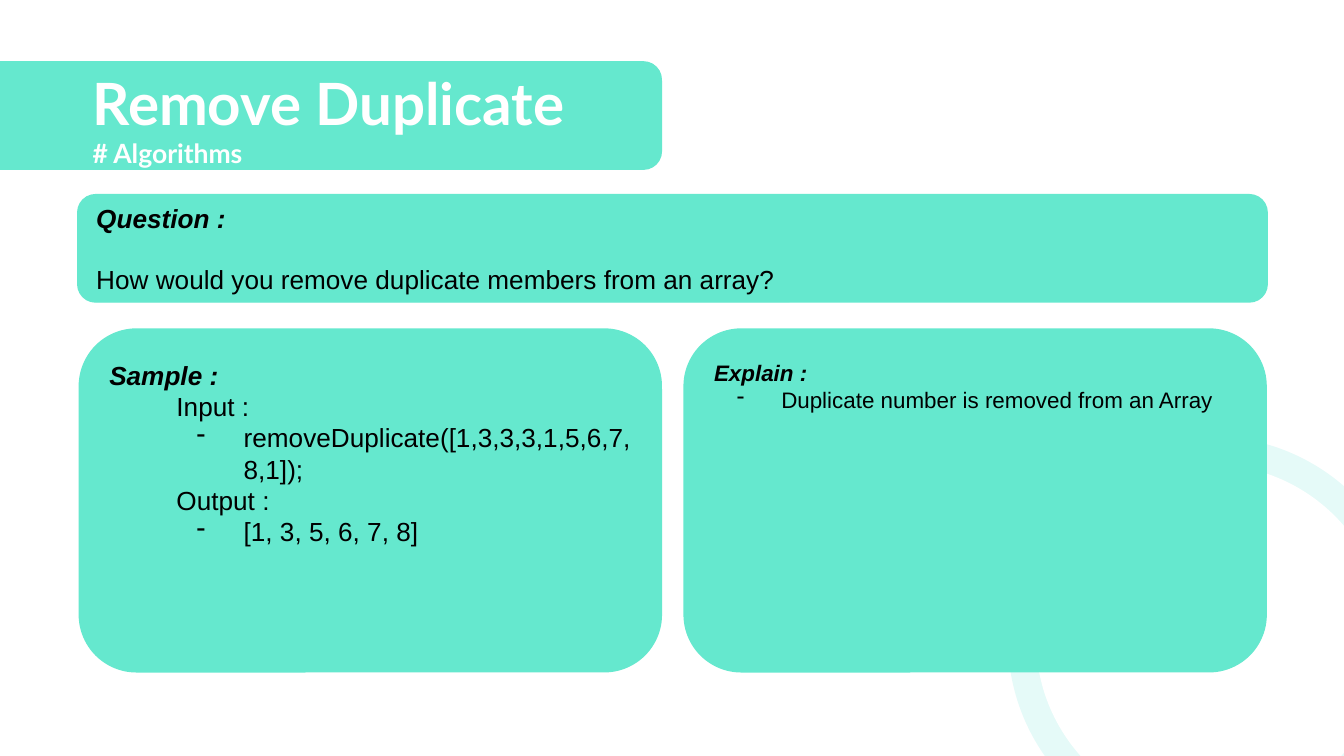
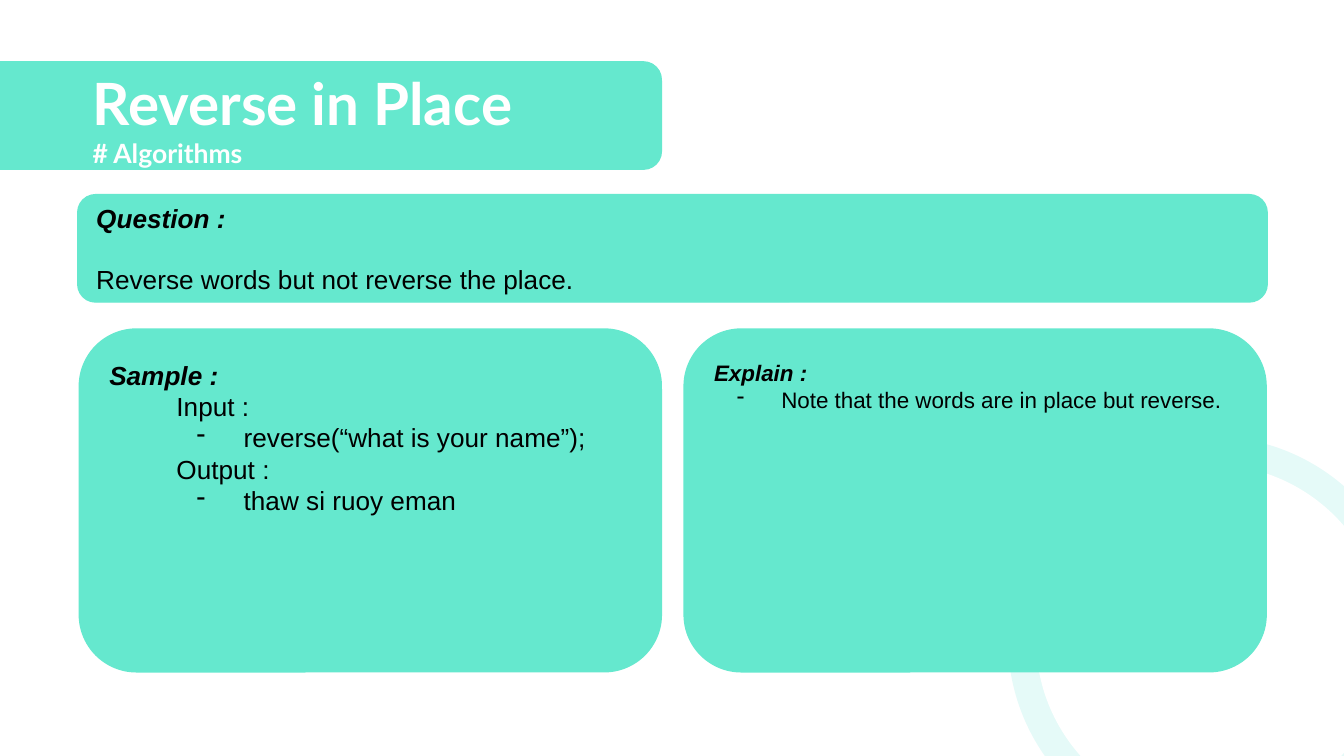
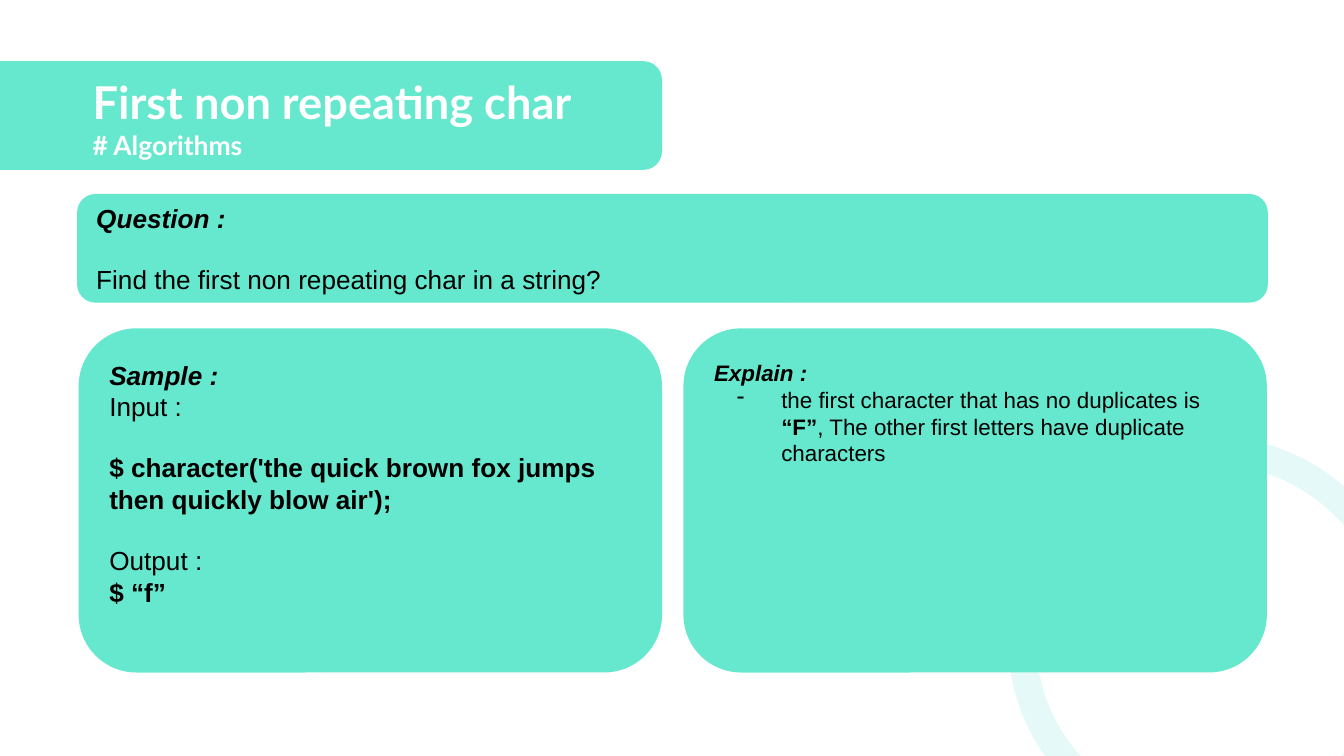
from dataclasses import dataclass

from lxml import etree
from pptx import Presentation
from pptx.dml.color import RGBColor
from pptx.enum.shapes import MSO_SHAPE
from pptx.enum.text import MSO_ANCHOR, PP_ALIGN
from pptx.oxml.ns import qn
from pptx.util import Cm, Pt

ROUNDED = MSO_SHAPE.ROUNDED_RECTANGLE
OVAL = MSO_SHAPE.OVAL
TOP, MIDDLE = MSO_ANCHOR.TOP, MSO_ANCHOR.MIDDLE
LEFT = PP_ALIGN.LEFT


@dataclass(frozen=True)
class Theme:
    mint: str = "65E8CE"
    ring: str = "1BD2C6"
    white: str = "FFFFFF"
    black: str = "000000"
    title_font: str = "Lato"
    body_font: str = "Arial"
    title_size: float = 31.2
    long_title_size: float = 24.2
    subtitle_size: float = 14.2
    body_size: float = 14
    explain_size: float = 12
    line_width: float = 0.75
    ring_opacity: int = 11
    inset: float = 0.25
    blank_line: float = 16.1


@dataclass(frozen=True)
class Box:
    """A rectangle in centimetres."""
    left: float
    top: float
    width: float
    height: float

    def lengths(self):
        return Cm(self.left), Cm(self.top), Cm(self.width), Cm(self.height)

    def shrunk(self, margin):
        return Box(self.left + margin, self.top + margin,
                   self.width - 2 * margin, self.height - 2 * margin)

    def columns(self, count, gap):
        width = (self.width - gap * (count - 1)) / count
        return [Box(self.left + index * (width + gap), self.top, width, self.height)
                for index in range(count)]


THEME = Theme()
BAND = Box(-3.96, 1.17, 16.46, 2.03)
TITLE = Box(1.5, 1.22, 10.52, 2.01)
RING = Box(19.05, 8.25, 7.67, 7.67)
RING_THICKNESS = 0.53
QUESTION = Box(1.47, 3.68, 22.48, 2.03)
PANELS = Box(1.5, 6.22, 22.43, 6.48)
PANEL_GAP = 0.43

INDENT = {"margin": 1.27}
SAMPLE_BULLET = {"margin": 2.54, "hanging": 0.89, "bullet": "-"}
EXPLAIN_BULLET = {"margin": 1.27, "hanging": 0.84, "bullet": "-"}
BOLD = {"bold": True}
GAP = {"before": THEME.blank_line}


def indented_sample(call, result):
    return [("Input :", INDENT), (call, SAMPLE_BULLET),
            ("Output :", INDENT), (result, SAMPLE_BULLET)]


PROBLEMS = [
    {
        "title": "Remove Duplicate",
        "title_size": THEME.title_size,
        "question": "How would you remove duplicate members from an array?",
        "sample": indented_sample("removeDuplicate([1,3,3,3,1,5,6,7,8,1]);",
                                  "[1, 3, 5, 6, 7, 8]"),
        "explain": "Duplicate number is removed from an Array",
    },
    {
        "title": "Reverse in Place",
        "title_size": THEME.title_size,
        "question": "Reverse words but not reverse the place.",
        "sample": indented_sample("reverse(“what is your name”);",
                                  "thaw si ruoy eman"),
        "explain": "Note that the words are in place but reverse.",
    },
    {
        "title": "First non repeating char",
        "title_size": THEME.long_title_size,
        "question": "Find the first non repeating char in a string?",
        "sample": [
            ("Input :", {}),
            ("$ character('the quick brown fox jumps then quickly blow air');",
             {**BOLD, **GAP}),
            ("Output :", GAP),
            ("$ “f”", BOLD),
        ],
        "explain": [("the first character that has no duplicates is ", False),
                    ("“F”", True),
                    (", The other first letters have duplicate characters", False)],
    },
]


def add_filled(page, kind, box, color, outlined=False, opacity=None):
    shape = page.shapes.add_shape(kind, *box.lengths())
    shape.shadow.inherit = False
    shape.fill.solid()
    shape.fill.fore_color.rgb = RGBColor.from_string(color)
    if opacity is not None:
        tint = shape._element.spPr.find(".//" + qn("a:srgbClr"))
        etree.SubElement(tint, qn("a:alpha"), val=str(opacity * 1000))
    if outlined:
        shape.line.color.rgb = RGBColor.from_string(color)
        shape.line.width = Pt(THEME.line_width)
    else:
        shape.line.fill.background()
    return shape


def prepare_frame(shape, anchor):
    frame = shape.text_frame
    frame.word_wrap = True
    frame.vertical_anchor = anchor
    frame.margin_left = frame.margin_right = Cm(THEME.inset)
    frame.margin_top = frame.margin_bottom = Cm(THEME.inset)
    return frame


def set_indent(para, margin, hanging, bullet):
    properties = para._p.get_or_add_pPr()
    properties.set("marL", str(Cm(margin)))
    properties.set("indent", str(-Cm(hanging)))
    if bullet:
        color = etree.SubElement(properties, qn("a:buClr"))
        etree.SubElement(color, qn("a:srgbClr"), val=THEME.black)
        etree.SubElement(properties, qn("a:buChar"), char=bullet)


def write(frame, text, size=THEME.body_size, font=THEME.body_font, color=THEME.black,
          bold=False, italic=False, before=0, margin=0, hanging=0, bullet=None):
    """Add a paragraph; text is a string or a list of (words, bold) pairs."""
    first = frame.paragraphs[0]
    para = frame.add_paragraph() if first.runs else first
    para.alignment = LEFT
    para.space_before = Pt(before)
    set_indent(para, margin, hanging, bullet)
    for words, strong in [(text, bold)] if isinstance(text, str) else text:
        span = para.add_run()
        span.text = words
        span.font.name = font
        span.font.size = Pt(size)
        span.font.bold = strong
        span.font.italic = italic
        span.font.color.rgb = RGBColor.from_string(color)


def add_panel(page, box, heading, anchor=TOP, size=THEME.body_size):
    """Draw a mint panel with its heading and return its text frame."""
    panel = add_filled(page, ROUNDED, box, THEME.mint, outlined=True)
    frame = prepare_frame(panel, anchor)
    write(frame, heading, size=size, bold=True, italic=True)
    return frame


def add_title(page, box, title, size):
    add_filled(page, ROUNDED, BAND, THEME.mint, outlined=True)
    frame = prepare_frame(page.shapes.add_textbox(*box.lengths()), MIDDLE)
    for text, text_size in ((title, size), ("# Algorithms", THEME.subtitle_size)):
        write(frame, text, size=text_size, font=THEME.title_font,
              color=THEME.white, bold=True)


def add_ring(page, box):
    add_filled(page, OVAL, box, THEME.ring, opacity=THEME.ring_opacity)
    add_filled(page, OVAL, box.shrunk(RING_THICKNESS), THEME.white)


def add_question(page, box, question):
    frame = add_panel(page, box, "Question :", anchor=MIDDLE)
    write(frame, question, **GAP)


def add_sample(page, box, lines):
    frame = add_panel(page, box, "Sample :")
    for text, style in lines:
        write(frame, text, **style)


def add_explain(page, box, text):
    frame = add_panel(page, box, "Explain :", size=THEME.explain_size)
    write(frame, text, size=THEME.explain_size, **EXPLAIN_BULLET)


def add_problem_page(deck, problem):
    page = deck.slides.add_slide(deck.slide_layouts[6])
    page.background.fill.solid()
    page.background.fill.fore_color.rgb = RGBColor.from_string(THEME.white)
    sample_box, explain_box = PANELS.columns(2, PANEL_GAP)
    add_title(page, TITLE, problem["title"], problem["title_size"])
    add_ring(page, RING)
    add_question(page, QUESTION, problem["question"])
    add_sample(page, sample_box, problem["sample"])
    add_explain(page, explain_box, problem["explain"])


def main():
    deck = Presentation()
    deck.slide_width, deck.slide_height = Cm(25.4), Cm(14.29)
    for problem in PROBLEMS:
        add_problem_page(deck, problem)
    deck.save("out.pptx")


if __name__ == "__main__":
    main()
